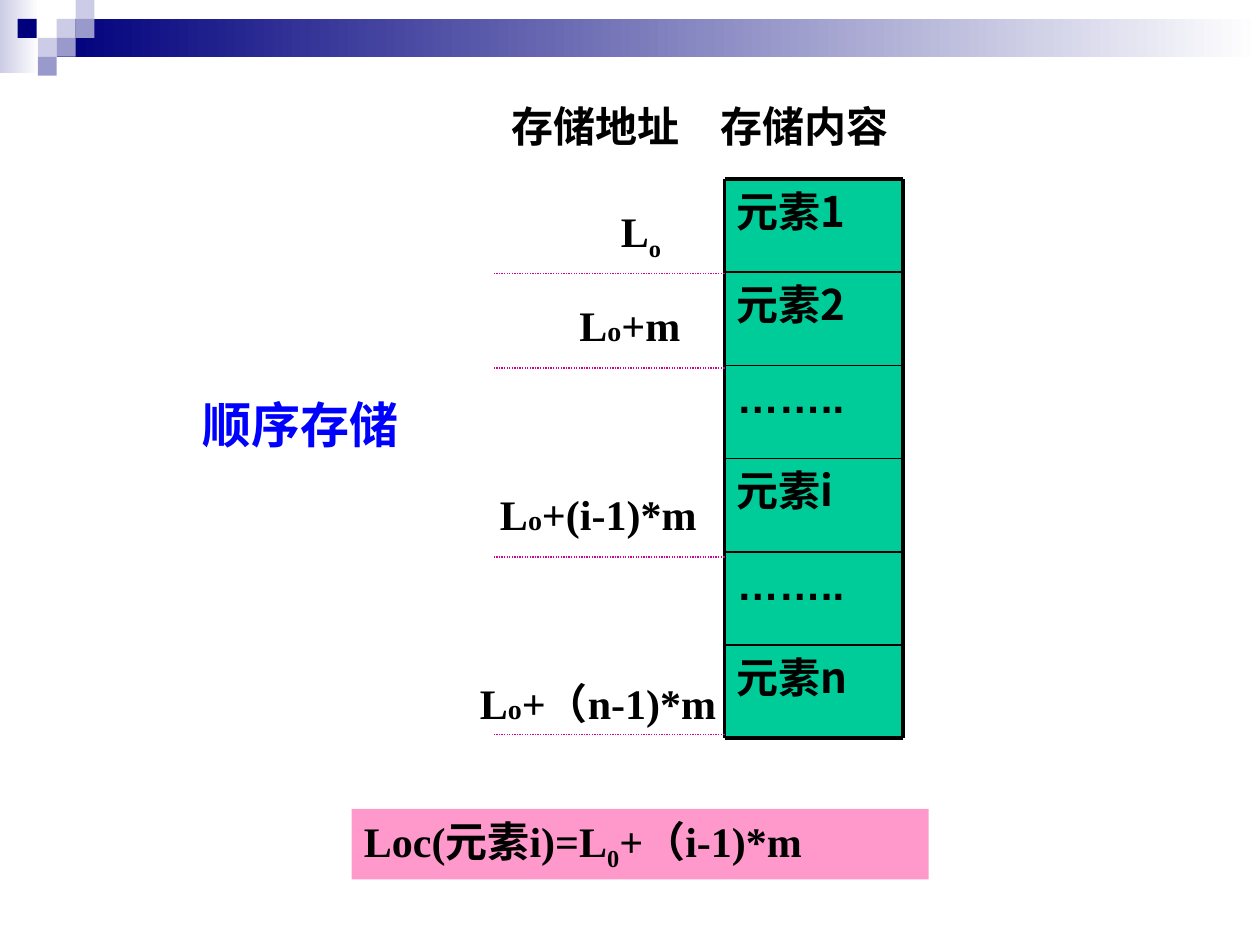
from lxml import etree
from pptx import Presentation
from pptx.dml.color import RGBColor
from pptx.enum import dml, shapes, text
from pptx.oxml.ns import qn
from pptx.util import Inches, Pt

THEME = {
    "navy": "00007D", "lilac": "CCCCE6", "violet": "9999CC", "white": "FFFFFF",
    "cell": "00CC99", "formula": "FF99CC", "guide": "D60093",
    "ink": "000000", "topic": "0000FF",
    "latin": "Times New Roman", "cjk": "Noto Sans CJK SC", "dots": "Arial",
    "body": 24, "small": 16, "heading": 28,
}

# Decoration: left, top, width, height, colours (two make a gradient)
BANDS = [
    (0, 0, 0.31, 0.58, ("lilac", "white")),
    (0.45, 0.15, 9.55, 0.3, ("navy", "white")),
]
TILE = 0.15
TILES = [
    (0.45, 0.15, "lilac"), (0.6, 0, "lilac"), (0.6, 0.15, "violet"),
    (0.3, 0.3, "lilac"), (0.14, 0.15, "navy"), (0.45, 0.3, "violet"),
    (0.3, 0.45, "violet"),
]

ELEMENTS = ["元素1", "元素2", "……..", "元素i", "……..", "元素n"]
MEMORY_LEFT, MEMORY_TOP, CELL_WIDTH, CELL_HEIGHT = 5.75, 1.42, 1.42, 0.74

HEADERS = [("存储地址", 3.96, 1.71), ("存储内容", 5.62, 1.58)]

# Runs are (text, style); then the box and the height of the guide line
ADDRESSES = [
    ([("L", ""), ("o", "sub")], (4.83, 1.58, 0.83, 0.56), 2.17),
    ([("L", ""), ("o", "small"), ("+m", "")], (4.5, 2.33, 1.17, 0.5), 2.92),
    ([("L", ""), ("o", "small"), ("+(i-1)*m", "")], (3.87, 3.83, 2.13, 0.5), 4.42),
    ([("L", ""), ("o", "small"), ("+（n-1)*m", "")], (3.71, 5.33, 2.08, 0.9), 5.83),
]
GUIDE_LEFT = 3.92

FORMULA = [("Loc(元素i)=L", ""), ("0", "sub"), ("+（i-1)*m", "")]


def colour(name):
    return RGBColor.from_string(THEME[name])


def write(shape, runs, size="body", ink="ink", font="latin", wrap=True):
    """Fill a shape with bold, left-aligned text made of (text, style) runs."""
    frame = shape.text_frame
    frame.word_wrap = wrap
    frame.vertical_anchor = text.MSO_ANCHOR.TOP
    paragraph = frame.paragraphs[0]
    paragraph.alignment = text.PP_ALIGN.LEFT
    for words, style in runs:
        run = paragraph.add_run()
        run.text = words
        run.font.size = Pt(THEME["small" if style == "small" else size])
        run.font.bold = True
        run.font.color.rgb = colour(ink)
        run.font.name = THEME[font]
        properties = run._r.get_or_add_rPr()
        etree.SubElement(properties, qn("a:ea"), typeface=THEME["cjk"])
        if style == "sub":
            properties.set("baseline", "-25000")


def add_label(slide, runs, box, **style):
    write(slide.shapes.add_textbox(*map(Inches, box)), runs, **style)


def add_block(slide, box, *fills):
    block = slide.shapes.add_shape(shapes.MSO_SHAPE.RECTANGLE, *map(Inches, box))
    block.shadow.inherit = False
    block.line.fill.background()
    if len(fills) == 1:
        block.fill.solid()
        block.fill.fore_color.rgb = colour(fills[0])
    else:
        block.fill.gradient()
        block.fill.gradient_angle = 0
        for position, (stop, name) in enumerate(zip(block.fill.gradient_stops, fills)):
            stop.color.rgb = colour(name)
            stop.position = position
    return block


def add_line(slide, ends, ink="ink", width=1.0, dash=None):
    line = slide.shapes.add_connector(shapes.MSO_CONNECTOR.STRAIGHT, *map(Inches, ends))
    line.line.color.rgb = colour(ink)
    line.line.width = Pt(width)
    if dash:
        line.line.dash_style = dash
    etree.SubElement(line._element.spPr, qn("a:effectLst"))


def add_decoration(slide):
    for *box, fills in BANDS:
        add_block(slide, box, *fills)
    for left, top, fill in TILES:
        add_block(slide, (left, top, TILE, TILE), fill)


def add_memory(slide):
    right = MEMORY_LEFT + CELL_WIDTH
    count = len(ELEMENTS)
    edges = [MEMORY_TOP + row * CELL_HEIGHT for row in range(count + 1)]
    for element, top in zip(ELEMENTS, edges):
        cell = add_block(slide, (MEMORY_LEFT, top, CELL_WIDTH, CELL_HEIGHT), "cell")
        write(cell, [(element, "")], font="dots" if "…" in element else "cjk")
    for row, y in enumerate(edges):
        add_line(slide, (MEMORY_LEFT, y, right, y), width=2.25 if row in (0, count) else 1)
    for x in (MEMORY_LEFT, right):
        add_line(slide, (x, edges[0], x, edges[-1]), width=2.25)


def main():
    deck = Presentation()
    deck.slide_width, deck.slide_height = Inches(10), Inches(7.5)
    slide = deck.slides.add_slide(deck.slide_layouts[6])

    add_decoration(slide)
    add_memory(slide)
    for header, left, width in HEADERS:
        add_label(slide, [(header, "")], (left, 0.75, width, 0.5))
    for runs, box, guide in ADDRESSES:
        add_label(slide, runs, box)
        add_line(slide, (MEMORY_LEFT, guide, GUIDE_LEFT, guide), ink="guide",
                 width=0.75, dash=dml.MSO_LINE.ROUND_DOT)
    write(add_block(slide, (2.79, 6.42, 4.58, 0.56), "formula"), FORMULA)
    add_label(slide, [("顺序存储", "")], (1.51, 3.08, 1.75, 0.57),
              size="heading", ink="topic", wrap=False)

    deck.save("out.pptx")


if __name__ == "__main__":
    main()
